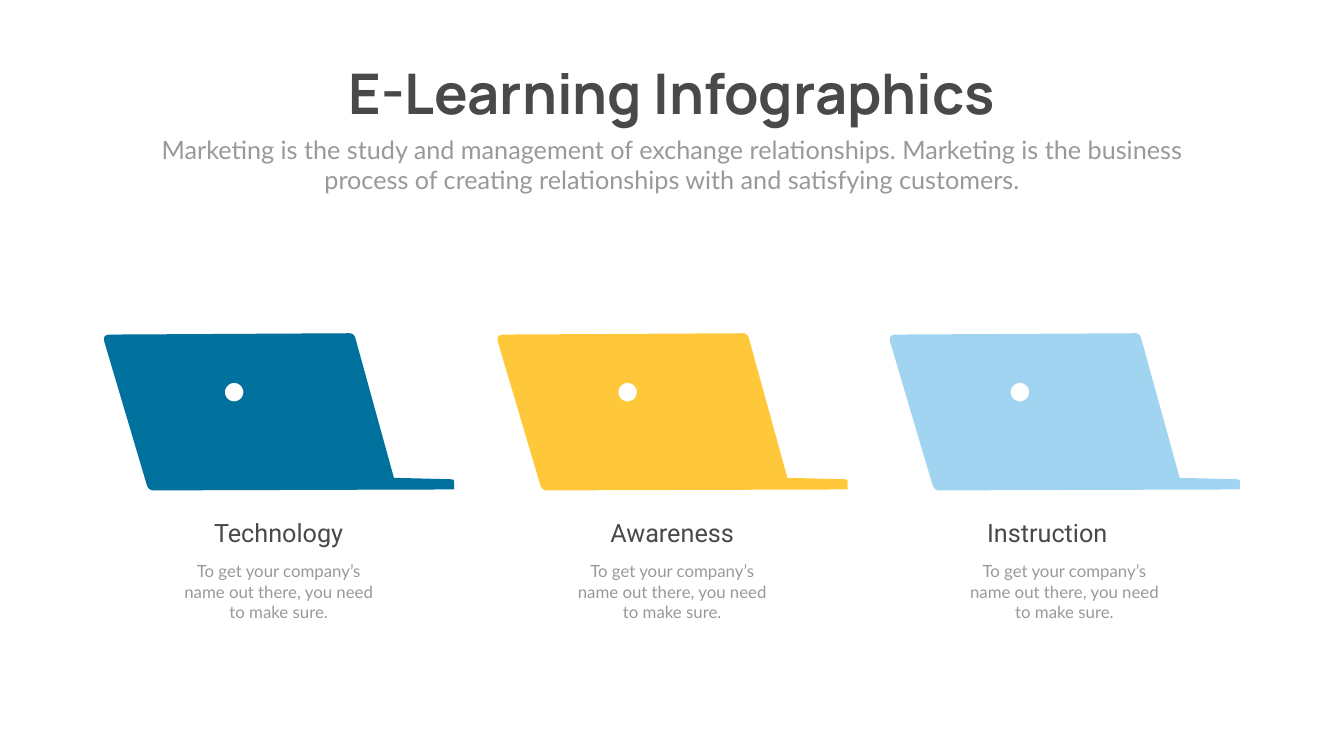
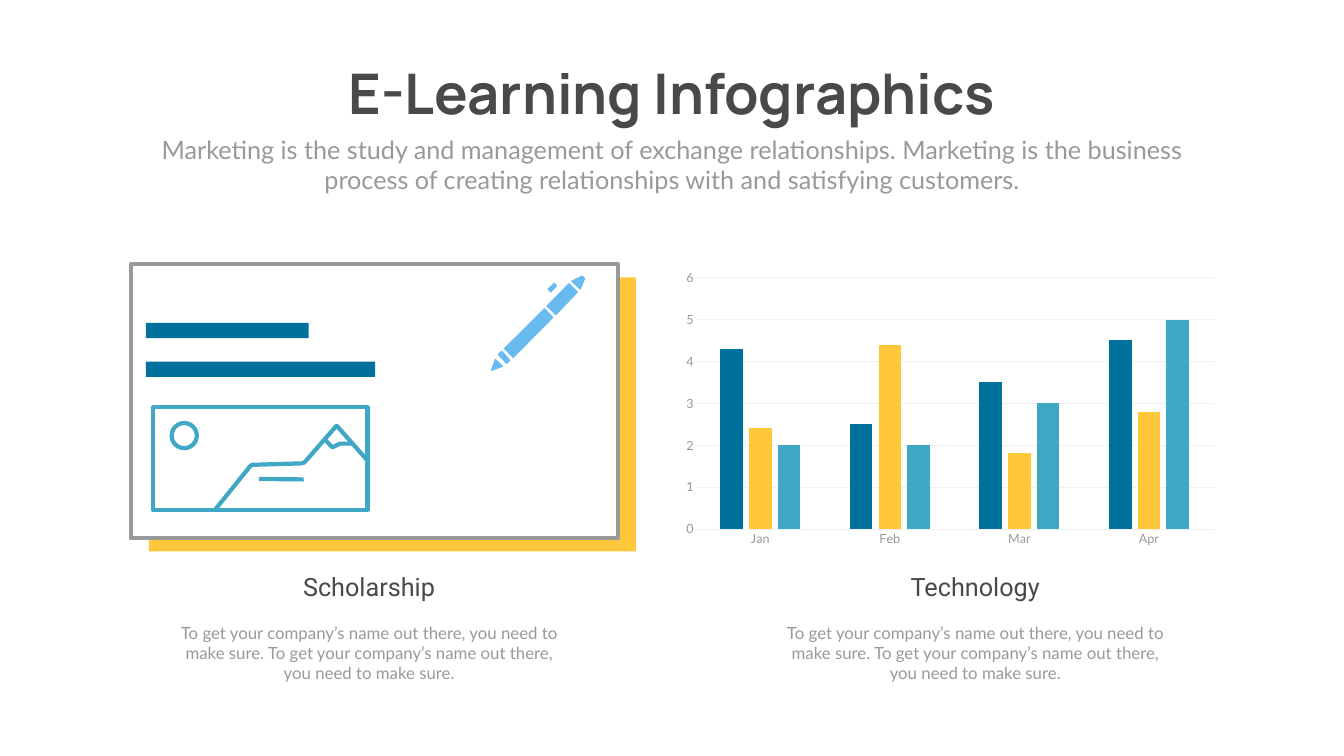
from math import cos, hypot, pi, sin

from lxml.etree import SubElement
from pptx import Presentation
from pptx.chart.data import CategoryChartData
from pptx.dml.color import RGBColor
from pptx.enum.chart import XL_CHART_TYPE, XL_TICK_MARK
from pptx.enum.shapes import MSO_CONNECTOR, MSO_SHAPE
from pptx.enum.text import MSO_ANCHOR, MSO_AUTO_SIZE, PP_ALIGN
from pptx.oxml.ns import qn
from pptx.util import Pt

WHITE, DARK, GREY, PALE = "FFFFFF", "494949", "999999", "F0F0F0"
BLUE, GOLD, SKY, TEAL, PEN = "00719C", "FFC83B", "A1D4F1", "40A7C4", "69BAEF"

TITLE = dict(name="Manrope", size=Pt(80), bold=True)
INTRO = dict(name="Lato", size=Pt(36), bold=False)
HEAD = dict(name="Roboto", size=Pt(36), bold=False)
BODY = dict(name="Lato", size=Pt(24), bold=False)
AXIS = dict(name="Lato", size=Pt(18), bold=False)

PITCH = "To get your company’s name out there, you need to make sure."

LAPTOP = [(-1.2, 2, 11), (358.4, 0, 7), (415.4, 206.6), (501.4, 208.8, 4),
          (501.4, 223.2), (64.8, 224.6, 8)]
HOLE = [(187.2 + 13.2 * cos(pi * i / 18), 84.2 + 13.2 * sin(pi * i / 18))
        for i in range(36)]
HILLS = [(338.4, 280.8), (294, 230.5, 1.5), (247, 284.4, 4),
         (172, 286.6, 3), (121, 350)]
SNOW = [(276.5, 249.8), (288, 261.5, 1.5), (298.8, 256.3), (316.8, 256.3)]
PARTS = [
    [(6.5, 118.5, 1), (18.5, 130.2, 1), (0, 137.3, 1)],
    [(90.2, 60.3, 1), (32.2, 118.5, 1), (18.8, 104.6, 1), (77.2, 46.6, 1)],
    [(9.6, 113, 2), (16.2, 107.2, 2), (28.8, 121.5, 2), (23, 127.2, 2)],
    [(79.4, 44, 1), (93.4, 57.4, 1), (125.2, 24, 1), (112, 11, 1)],
    [(81, 19.8, 1), (86.2, 24.8, 1), (95.4, 15, 1), (90.7, 10.3, 1)],
    [(114.6, 8.3, 1), (128.5, 21, 1), (135.3, 4.3, 1), (131, 0, 1)],
]


def hue(code):
    return RGBColor.from_string(code)


def put(item, form):
    for key, value in form.items():
        setattr(item, key, value)


def ink(font, form, code):
    put(font, form)
    font.color.rgb = hue(code)


def rule(line, code, width):
    line.color.rgb = hue(code)
    line.width = Pt(width)


def paint(shape, fill=None, line=None):
    shape.shadow.inherit = False
    if fill:
        shape.fill.solid()
        shape.fill.fore_color.rgb = hue(fill)
    else:
        shape.fill.background()
    if line:
        rule(shape.line, line, 6)
    else:
        shape.line.fill.background()


def block(slide, kind, x, y, w, h, fill=None, line=None):
    shape = slide.shapes.add_shape(kind, Pt(x), Pt(y), Pt(w), Pt(h))
    paint(shape, fill, line)


def bend(points):
    path = []
    for i, (x, y, *size) in enumerate(points):
        if not size:
            path.append((x, y))
            continue
        ends = []
        for other in (points[i - 1], points[(i + 1) % len(points)]):
            dx, dy = other[0] - x, other[1] - y
            part = size[0] / hypot(dx, dy)
            ends.append((x + dx * part, y + dy * part))
        (ax, ay), (bx, by) = ends
        for step in range(7):
            t = step / 6
            a, m, b = (1 - t) ** 2, 2 * t * (1 - t), t * t
            path.append((a * ax + m * x + b * bx, a * ay + m * y + b * by))
    return path


def scale(points):
    return [(Pt(x), Pt(y)) for x, y in points]


def trace(slide, x, y, points, fill=None, line=None, close=True, hole=()):
    path = scale(bend(points))
    pen = slide.shapes.build_freeform(*path[0])
    pen.add_line_segments(path[1:], close=close)
    if hole:
        ring = scale(hole)
        pen.move_to(*ring[0])
        pen.add_line_segments(ring[1:])
    paint(pen.convert_to_shape(Pt(x), Pt(y)), fill, line)


def write(shape, text, form, code, align=PP_ALIGN.CENTER, wrap=True):
    frame = shape.text_frame
    put(frame, dict(text=text, word_wrap=wrap, vertical_anchor=MSO_ANCHOR.TOP,
                    auto_size=MSO_AUTO_SIZE.SHAPE_TO_FIT_TEXT))
    para = frame.paragraphs[0]
    put(para, dict(alignment=align, space_before=Pt(0)))
    ink(para.runs[0].font, form, code)


def place(shape, x, y, w, h):
    put(shape, dict(left=Pt(x), top=Pt(y), width=Pt(w), height=Pt(h)))


def label(slide, x, y, w, h, *text):
    write(slide.shapes.add_textbox(Pt(x), Pt(y), Pt(w), Pt(h)), *text)


def caption(slide, x, y, w, gap, head, body, align=PP_ALIGN.CENTER):
    label(slide, x, y + gap, w, 94.3, body, BODY, GREY)
    label(slide, x + (w - 234.7) / 2, y, 234.7, 51, head, HEAD, DARK, align)


def start(deck):
    slide = deck.slides.add_slide(deck.slide_layouts[0])
    title, intro = slide.placeholders
    place(title, 450.7, 80.6, 1018, 104.4)
    write(title, "E-Learning Infographics", TITLE, DARK, wrap=False)
    place(intro, 210.2, 187.9, 1499, 94.3)
    write(intro, "Marketing is the study and management of exchange "
          "relationships. Marketing is the business process of creating "
          "relationships with and satisfying customers.", INTRO, GREY)
    return slide


def laptop(slide, x, y, fill, head, align):
    trace(slide, x, y, LAPTOP, fill, hole=HOLE)
    caption(slide, x + 106.4, y + 259.2, 288.7, 62.8, head, PITCH, align)


def board(slide, x, y):
    box = MSO_SHAPE.RECTANGLE
    block(slide, box, x + 26, y + 18.7, 695.5, 391.7, GOLD)
    block(slide, box, x, y, 695.5, 391.7, WHITE, GREY)
    for part in PARTS:
        trace(slide, x + 513.8, y + 15.8, part, PEN)
    for top, wide in ((83.9, 232.3), (139.3, 327.4)):
        block(slide, box, x + 21.6, y + top, wide, 21.7, BLUE)
    block(slide, box, x + 32.2, y + 204.5, 306, 146.6, None, TEAL)
    block(slide, MSO_SHAPE.OVAL, x + 58.3, y + 226.8, 36, 36, None, TEAL)
    trace(slide, x, y, HILLS, WHITE, TEAL, False)
    trace(slide, x, y, SNOW, None, TEAL, False)
    road = slide.shapes.add_connector(
        MSO_CONNECTOR.STRAIGHT, Pt(x + 182.9), Pt(y + 306.7),
        Pt(x + 247), Pt(y + 307.4))
    rule(road.line, TEAL, 6)
    SubElement(road._element.spPr, qn("a:effectLst"))


def graph(slide, x, y, w, h):
    data = CategoryChartData()
    data.categories = ["Jan", "Feb", "Mar", "Apr"]
    rows = [(4.3, 2.5, 3.5, 4.5), (2.4, 4.4, 1.8, 2.8), (2, 2, 3, 5)]
    for i, row in enumerate(rows, 1):
        data.add_series(f"Series {i}", row)
    chart = slide.shapes.add_chart(XL_CHART_TYPE.COLUMN_CLUSTERED,
                                   Pt(x), Pt(y), Pt(w), Pt(h), data).chart
    put(chart, dict(has_legend=False, has_title=False))
    ink(chart.font, AXIS, GREY)
    plot = chart.plots[0]
    put(plot, dict(gap_width=219, overlap=-27, vary_by_categories=False))
    for row, code in zip(plot.series, (BLUE, GOLD, TEAL)):
        row.format.fill.solid()
        row.format.fill.fore_color.rgb = hue(code)
    base, side = chart.category_axis, chart.value_axis
    for axis in (base, side):
        put(axis, dict(major_tick_mark=XL_TICK_MARK.NONE,
                       minor_tick_mark=XL_TICK_MARK.NONE))
        ink(axis.tick_labels.font, AXIS, GREY)
    put(side, dict(minimum_scale=0, maximum_scale=6, major_unit=1,
                   has_major_gridlines=True))
    rule(base.format.line, PALE, 0.75)
    rule(side.major_gridlines.format.line, PALE, 0.75)
    side.format.line.fill.background()


def trio(deck):
    slide = start(deck)
    mid = PP_ALIGN.CENTER
    for x, fill, head, align in (
            (147.2, BLUE, "Technology", mid),
            (709.2, GOLD, "Awareness", mid),
            (1269.4, SKY, "Instruction", PP_ALIGN.LEFT)):
        laptop(slide, x, 476, fill, head, align)


def pair(deck):
    slide = start(deck)
    board(slide, 186.8, 377.5)
    graph(slide, 964.4, 377.6, 784.8, 410.6)
    for x, head in ((239.5, "Scholarship"), (1105.2, "Technology")):
        caption(slide, x, 812.9, 575.3, 72.7, head, f"{PITCH} {PITCH}")


def main():
    deck = Presentation()
    put(deck, dict(slide_width=Pt(1919.52), slide_height=Pt(1080)))
    trio(deck)
    pair(deck)
    deck.save("out.pptx")


if __name__ == "__main__":
    main()
